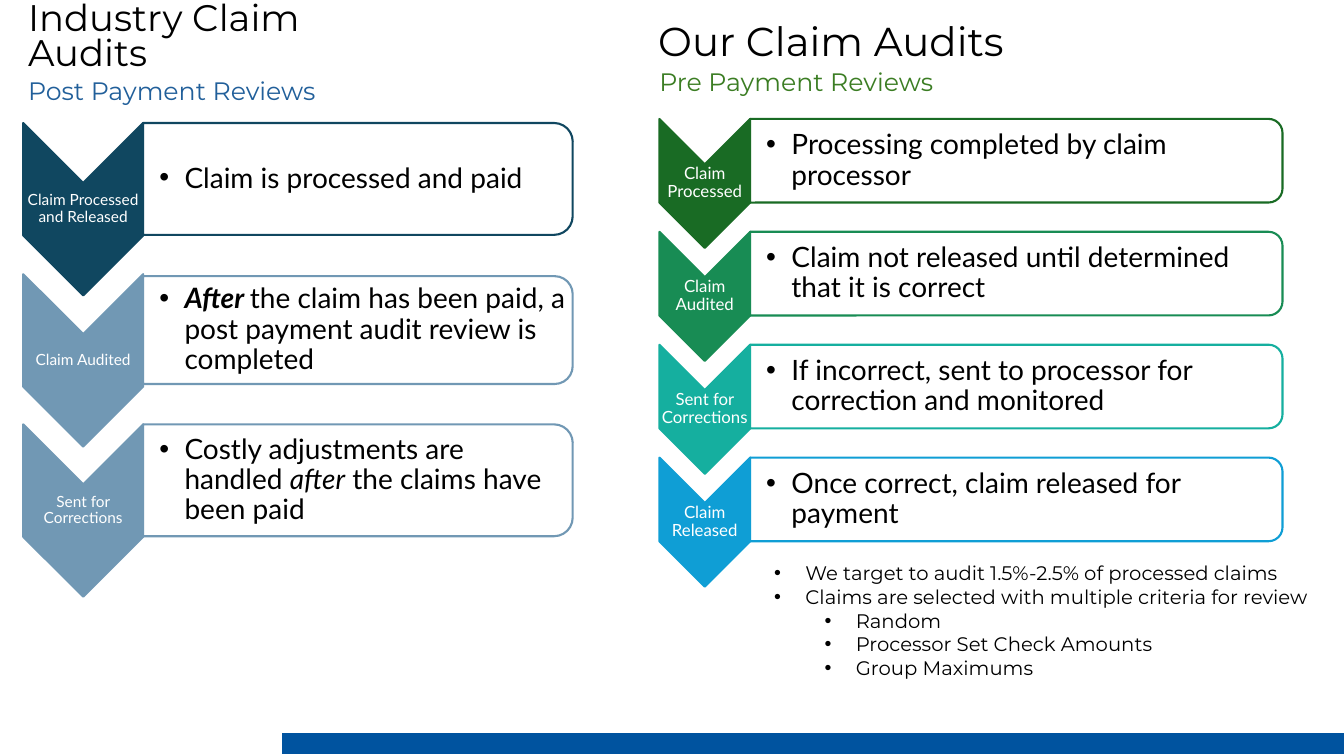
from lxml import etree
from pptx import Presentation
from pptx.dml.color import RGBColor
from pptx.enum.shapes import MSO_SHAPE
from pptx.enum.text import MSO_ANCHOR, PP_ALIGN
from pptx.oxml.ns import qn
from pptx.util import Inches, Pt

CHEVRON = MSO_SHAPE.CHEVRON
CARD = MSO_SHAPE.ROUND_2_SAME_RECTANGLE
TOP, MIDDLE, BOTTOM = MSO_ANCHOR.TOP, MSO_ANCHOR.MIDDLE, MSO_ANCHOR.BOTTOM
LEFT, CENTER = PP_ALIGN.LEFT, PP_ALIGN.CENTER
TIGHT = (0.01, 0.01, 0.01, 0.01)
INDENT = (0.16, 0.01, 0.01, 0.01)
WIDE = (0.1, 0.05, 0.1, 0.05)
SIDES = ("left", "top", "right", "bottom")


def color(code):
    return RGBColor.from_string(code)


class Deck:
    head = "Montserrat"
    body = "Lato"
    ink = "000000"
    white = "FFFFFF"

    def __init__(self, slide):
        self.slide = slide
        self.shapes = slide.shapes

    def text(self, box, paras, size, font, ink=ink, anchor=TOP, align=LEFT,
             inset=WIDE, lead=1.0):
        shape = self.shapes.add_textbox(*map(Inches, box))
        frame = shape.text_frame
        frame.word_wrap = True
        frame.vertical_anchor = anchor
        for side, gap in zip(SIDES, inset):
            setattr(frame, "margin_" + side, Inches(gap))
        for i, (runs, level, indent, hang) in enumerate(paras):
            para = frame.paragraphs[0] if i == 0 else frame.add_paragraph()
            for name, value in {"level": level, "alignment": align,
                                "line_spacing": lead}.items():
                setattr(para, name, value)
            if hang:
                self.bullet(para, indent, hang)
            for words, style in runs:
                run = para.add_run()
                run.text = words
                look = {"name": font, "size": Pt(size), **style}
                for name, value in look.items():
                    setattr(run.font, name, value)
                run.font.color.rgb = color(ink)

    def bullet(self, para, indent, hang):
        props = para._p.get_or_add_pPr()
        props.set("marL", str(Inches(indent)))
        props.set("indent", str(-Inches(hang)))
        etree.SubElement(props, qn("a:buFont")).set("typeface", "Arial")
        etree.SubElement(props, qn("a:buChar")).set("char", "•")

    def turned(self, kind, box, fill, line, alpha=100):
        x, y, w, h = box
        place = (x + (w - h) / 2, y + (h - w) / 2, h, w)
        shape = self.shapes.add_shape(kind, *map(Inches, place))
        shape.rotation = 90
        shape.shadow.inherit = False
        shape.fill.solid()
        shape.fill.fore_color.rgb = color(fill)
        shape.line.color.rgb = color(line)
        shape.line.width = Pt(1.5)
        if alpha < 100:
            tint = shape._element.spPr.find(qn("a:solidFill"))[0]
            etree.SubElement(tint, qn("a:alpha")).set("val", str(alpha * 1000))

    def step(self, arrow, card, label, runs, hue, size):
        x, y, w, h = arrow
        self.turned(CHEVRON, arrow, hue, hue)
        self.text((x, y + w / 2, w, h - w), [([(label, {})], 0, 0, 0)], size,
                  self.body, self.white, MIDDLE, CENTER, TIGHT, 0.9)
        x, y, w, h = card
        self.turned(CARD, card, self.white, hue, 90)
        self.text((x, y + 0.05 * h, w - 0.04, 0.9 * h), [(runs, 1, 0.25, 0.25)],
                  20, self.body, anchor=MIDDLE, inset=INDENT, lead=0.9)

    def heading(self, box, words, size, ink=ink, anchor=TOP, lead=1.0):
        self.text(box, [([(words, {})], 0, 0, 0)], size, self.head, ink,
                  anchor, lead=lead)

    def outline(self, points, fill):
        pen = self.shapes.build_freeform(*map(Inches, points[0]))
        pen.add_line_segments([tuple(map(Inches, p)) for p in points[1:]])
        shape = pen.convert_to_shape()
        shape.shadow.inherit = False
        shape.fill.solid()
        shape.fill.fore_color.rgb = color(fill)
        shape.line.fill.background()


def main():
    prs = Presentation()
    prs.slide_width, prs.slide_height = Inches(13.33), Inches(7.5)
    deck = Deck(prs.slides.add_slide(prs.slide_layouts[6]))

    deck.heading((6.43, 0.23, 4.14, 0.47), "Our Claim Audits", 28.8,
                 anchor=BOTTOM, lead=0.9)
    deck.outline([(13.33, 7.48), (13.33, 7.27), (2.8, 7.27), (2.8, 7.48)],
                 "00539F")

    after = {"bold": True, "italic": True}
    industry = [
        (1.22, 1.22, 1.11, "Claim Processed and Released", "104760",
         [("Claim is processed and paid", {})]),
        (2.72, 2.74, 1.07, "Claim Audited", "7198B4",
         [("After ", after), ("the claim has been paid, a post payment "
                              "audit review is completed", {})]),
        (4.21, 4.21, 1.11, "Sent for Corrections", "7198B4",
         [("Costly adjustments are handled ", {}),
          ("after", {"italic": True}), (" the claims have been paid", {})]),
    ]
    for y, top, high, label, hue, runs in industry:
        deck.step((0.23, y, 1.19, 1.71), (1.42, top, 4.26, high),
                  label, runs, hue, 11)
    deck.heading((0.18, 0.7, 3.28, 0.71), "Post Payment Reviews", 18, "215F9A")

    review = [
        ("Claim Processed", "196B24", "Processing completed by claim processor"),
        ("Claim Audited", "188C54",
         "Claim not released until determined that it is correct"),
        ("Sent for Corrections", "15AF9F",
         "If incorrect, sent to processor for correction and monitored"),
        ("Claim Released", "0F9ED5", "Once correct, claim released for payment"),
    ]
    for i, (label, hue, words) in enumerate(review):
        y = 1.18 + 1.12 * i
        deck.step((6.54, y, 0.9, 1.28), (7.44, y, 5.28, 0.83),
                  label, [(words, {})], hue, 12)

    deck.heading((0.18, 0.31, 4.14, 0.47), "Industry Claim Audits", 26.4,
                 anchor=BOTTOM, lead=0.8)
    deck.heading((6.44, 0.61, 3.28, 0.71), "Pre Payment Reviews", 18, "3B7D23")
    notes = [
        ("We target to audit 1.5%-2.5% of processed claims", 0),
        ("Claims are selected with multiple criteria for review", 0),
        ("Random", 1),
        ("Processor Set Check Amounts", 1),
        ("Group Maximums", 1),
    ]
    deck.text((7.58, 5.52, 6.17, 1.28),
              [([(words, {})], level, 0.31 + 0.5 * level, 0.31)
               for words, level in notes], 14, deck.head)
    prs.save("out.pptx")


if __name__ == "__main__":
    main()
